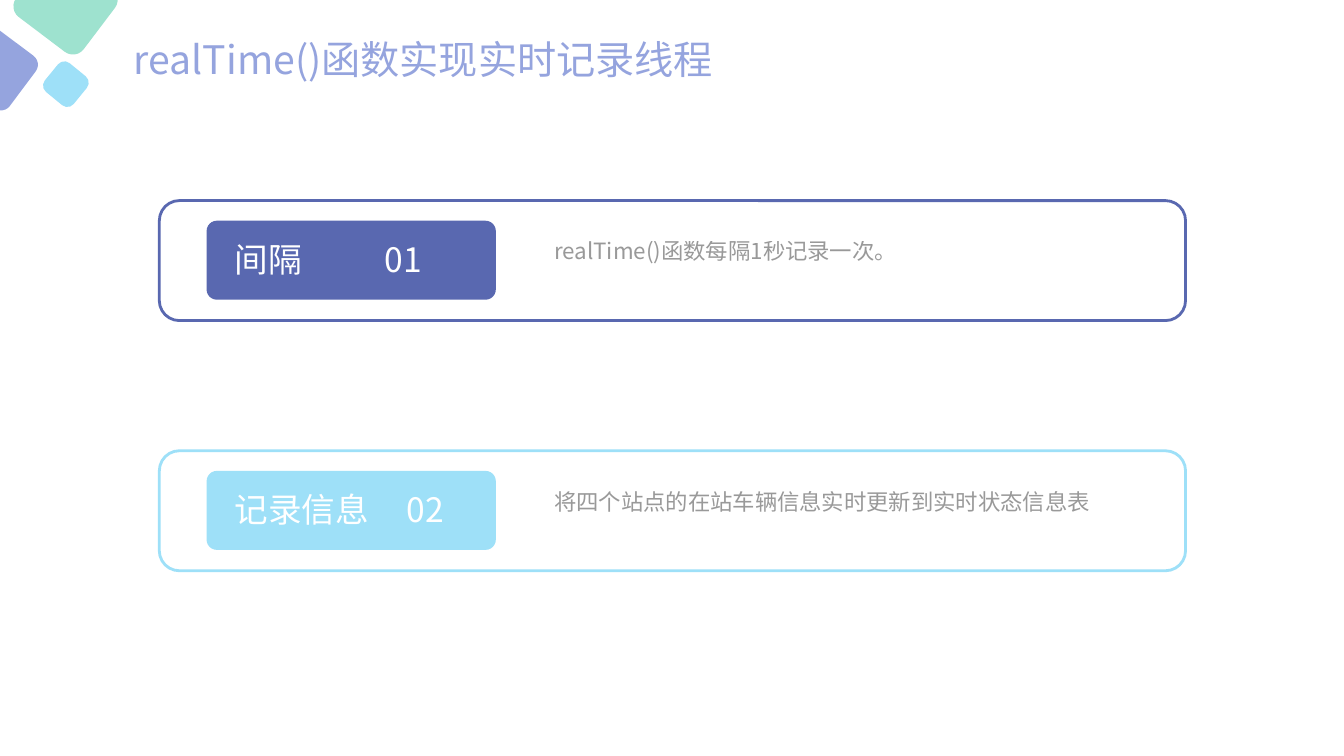
from dataclasses import dataclass

from lxml import etree
from pptx import Presentation
from pptx.dml.color import RGBColor
from pptx.enum import shapes, text
from pptx.oxml import ns
from pptx.util import Pt


@dataclass(frozen=True)
class Theme:
    font: str = "Noto Sans CJK JP"
    white: str = "FFFFFF"
    grey: str = "808080"
    indigo: str = "5968B0"
    sky: str = "9EE0F8"
    mint: str = "9EE2CF"
    lavender: str = "95A4DE"
    title_size: int = 28
    label_size: int = 24
    body_size: int = 16


THEME = Theme()
CARD_TOP = 143.3
CARD_PITCH = 178.7


def set_alpha(element, percent):
    for color in element.iter(ns.qn("a:srgbClr")):
        etree.SubElement(color, ns.qn("a:alpha"), val=str(percent * 1000))


def add_round_rect(parent, box, fill, corner=0.1667, rotation=0):
    sp = parent.add_shape(shapes.MSO_SHAPE.ROUNDED_RECTANGLE, *map(Pt, box))
    sp.shadow.inherit = False
    sp.adjustments[0] = corner
    sp.rotation = rotation
    sp.fill.solid()
    sp.fill.fore_color.rgb = RGBColor.from_string(fill)
    sp.line.fill.background()
    return sp


def add_text(parent, box, content, size, color):
    sp = parent.add_textbox(*map(Pt, box))
    tf = sp.text_frame
    tf.word_wrap = True
    tf.auto_size = text.MSO_AUTO_SIZE.SHAPE_TO_FIT_TEXT
    p = tf.paragraphs[0]
    p.text = content
    p.font.size = Pt(size)
    p.font.name = THEME.font
    p.font.color.rgb = RGBColor.from_string(color)
    defaults = p._p.pPr.find(ns.qn("a:defRPr"))
    etree.SubElement(defaults, ns.qn("a:ea"), typeface=THEME.font)
    return p


def add_tab_stop(p, position):
    tabs = etree.Element(ns.qn("a:tabLst"))
    etree.SubElement(tabs, ns.qn("a:tab"), pos=str(Pt(position)), algn="l")
    p._p.pPr.find(ns.qn("a:defRPr")).addprevious(tabs)


def add_card(s, top, color, label, number, number_tab, description):
    group = s.shapes.add_group_shape().shapes
    frame = add_round_rect(group, (113.8, top, 733, 85.7), THEME.white)
    set_alpha(frame._element.spPr, 90)
    frame.line.color.rgb = RGBColor.from_string(color)
    frame.line.width = Pt(2)
    add_round_rect(group, (147.6, top + 14.4, 206.6, 56.4), color, 0.13)
    p = add_text(group, (160.6, top + 23.5, 180.7, 36), f"{label}\t{number}",
                 THEME.label_size, THEME.white)
    add_tab_stop(p, number_tab)
    p = add_text(group, (388.8, top + 13.3, 449, 33.1), description,
                 THEME.body_size, THEME.grey)
    p.alignment = text.PP_ALIGN.JUSTIFY
    p.line_spacing = 1.5
    set_alpha(p._p, 80)


def add_corner_tiles(s):
    tiles = [
        ((33.8, 46.8, 26.6, 26.6), THEME.sky, 0.22, 309.3),
        ((18.7, -28.1, 56.2, 60.5), THEME.mint, 0.17, 127.1),
        ((-25.9, 25.9, 46.8, 46.8), THEME.lavender, 0.17, 36.8),
    ]
    for tile in tiles:
        add_round_rect(s.shapes, *tile)


def main():
    prs = Presentation()
    prs.slide_width, prs.slide_height = Pt(960), Pt(540)
    s = prs.slides.add_slide(prs.slide_layouts[6])
    cards = [
        (THEME.indigo, "间隔", "01", 107, "realTime()函数每隔1秒记录一次。"),
        (THEME.sky, "记录信息", "02", 123,
         "将四个站点的在站车辆信息实时更新到实时状态信息表"),
    ]
    for i, card in enumerate(cards):
        add_card(s, CARD_TOP + i * CARD_PITCH, *card)
    add_corner_tiles(s)
    add_text(s.shapes, (88.6, 21.6, 442.8, 41), "realTime()函数实现实时记录线程",
             THEME.title_size, THEME.lavender)
    prs.save("out.pptx")


if __name__ == "__main__":
    main()
